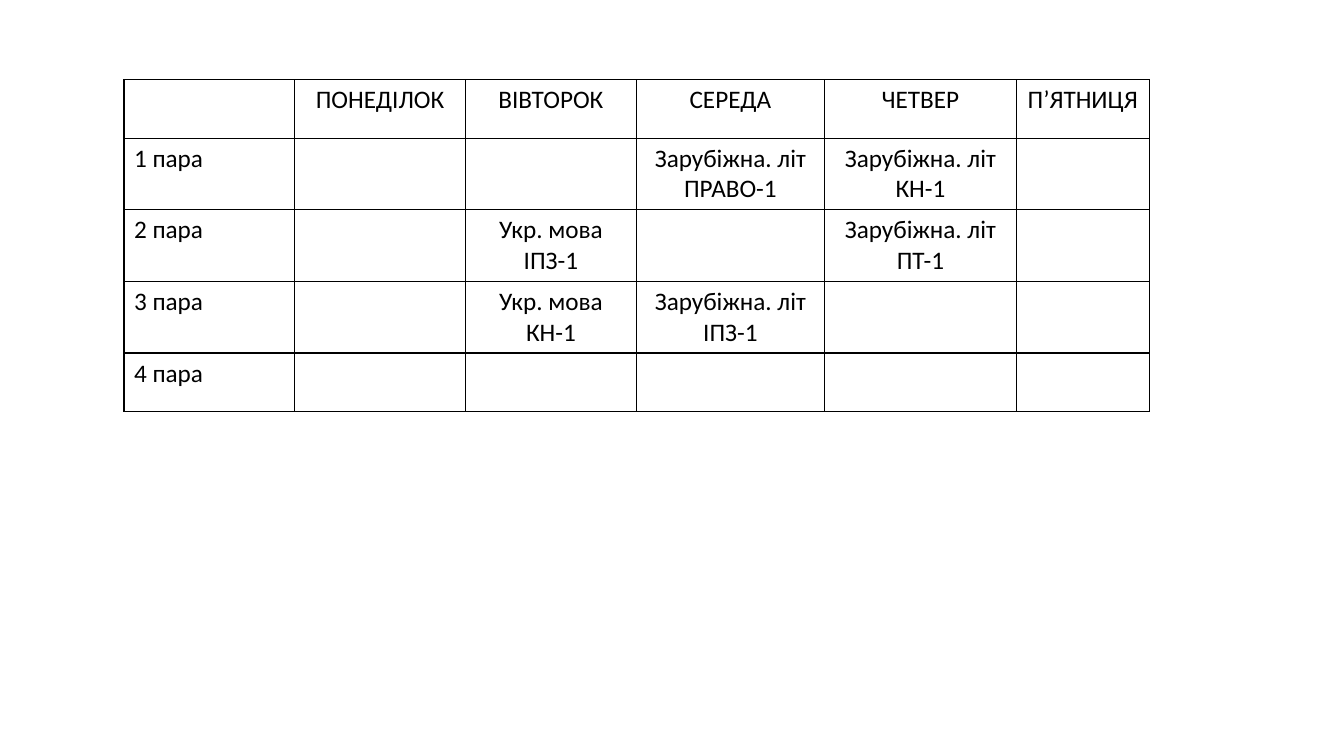
from dataclasses import dataclass

from lxml import etree
from pptx import Presentation
from pptx.dml.color import RGBColor
from pptx.enum.text import PP_ALIGN
from pptx.oxml.ns import qn
from pptx.util import Inches, Pt

LEFT, CENTER = PP_ALIGN.LEFT, PP_ALIGN.CENTER
BLANK = 6


@dataclass(frozen=True)
class Theme:
    font: str = "Calibri"
    size: int = 18
    ink: str = "000000"
    rule: int = 1


DAYS = ["", "ПОНЕДІЛОК", "ВІВТОРОК", "СЕРЕДА", "ЧЕТВЕР", "П’ЯТНИЦЯ"]
WORLD, UKR = "Зарубіжна. літ", "Укр. мова"
LESSONS = [
    ["", "", f"{WORLD}\nПРАВО-1", f"{WORLD}\nКН-1", ""],
    ["", f"{UKR}\nІПЗ-1", "", f"{WORLD}\nПТ-1", ""],
    ["", f"{UKR}\nКН-1", f"{WORLD}\nІПЗ-1", "", ""],
    [""] * 5,
]
WIDTHS = [1.69, 1.7, 1.69, 1.87, 1.9, 1.32]
ROW = 0.58


class Page:
    def __init__(self, slide, theme):
        self.slide = slide
        self.theme = theme

    def frame(self, cell):
        """Rule all four sides of a cell."""
        props = cell._tc.get_or_add_tcPr()
        for side in ("lnL", "lnR", "lnT", "lnB"):
            line = etree.SubElement(props, qn(f"a:{side}"), w=str(Pt(self.theme.rule)))
            fill = etree.SubElement(line, qn("a:solidFill"))
            etree.SubElement(fill, qn("a:srgbClr"), val=self.theme.ink)

    def label(self, cell, text, align):
        cell.text = text
        for para in cell.text_frame.paragraphs:
            para.alignment = align
            para.font.name = self.theme.font
            para.font.size = Pt(self.theme.size)
            para.font.bold = False
            para.font.color.rgb = RGBColor.from_string(self.theme.ink)

    def table(self, left, top, widths, height, data):
        table = self.slide.shapes.add_table(
            len(data), len(widths), Inches(left), Inches(top),
            Inches(sum(widths)), Inches(height * len(data))).table
        table.first_row = table.horz_banding = False
        for col, width in zip(table.columns, widths):
            col.width = Inches(width)
        for r, row in enumerate(data):
            table.rows[r].height = Inches(height)
            for c, text in enumerate(row):
                cell = table.cell(r, c)
                self.label(cell, text, CENTER if c else LEFT)
                self.frame(cell)
                cell.fill.background()


def main():
    deck = Presentation()
    deck.slide_width, deck.slide_height = Inches(13.33), Inches(7.5)
    page = Page(deck.slides.add_slide(deck.slide_layouts[BLANK]), Theme())
    rows = [[f"{n} пара", *row] for n, row in enumerate(LESSONS, 1)]
    page.table(1.23, 0.79, WIDTHS, ROW, [DAYS, *rows])
    deck.save("out.pptx")


if __name__ == "__main__":
    main()
